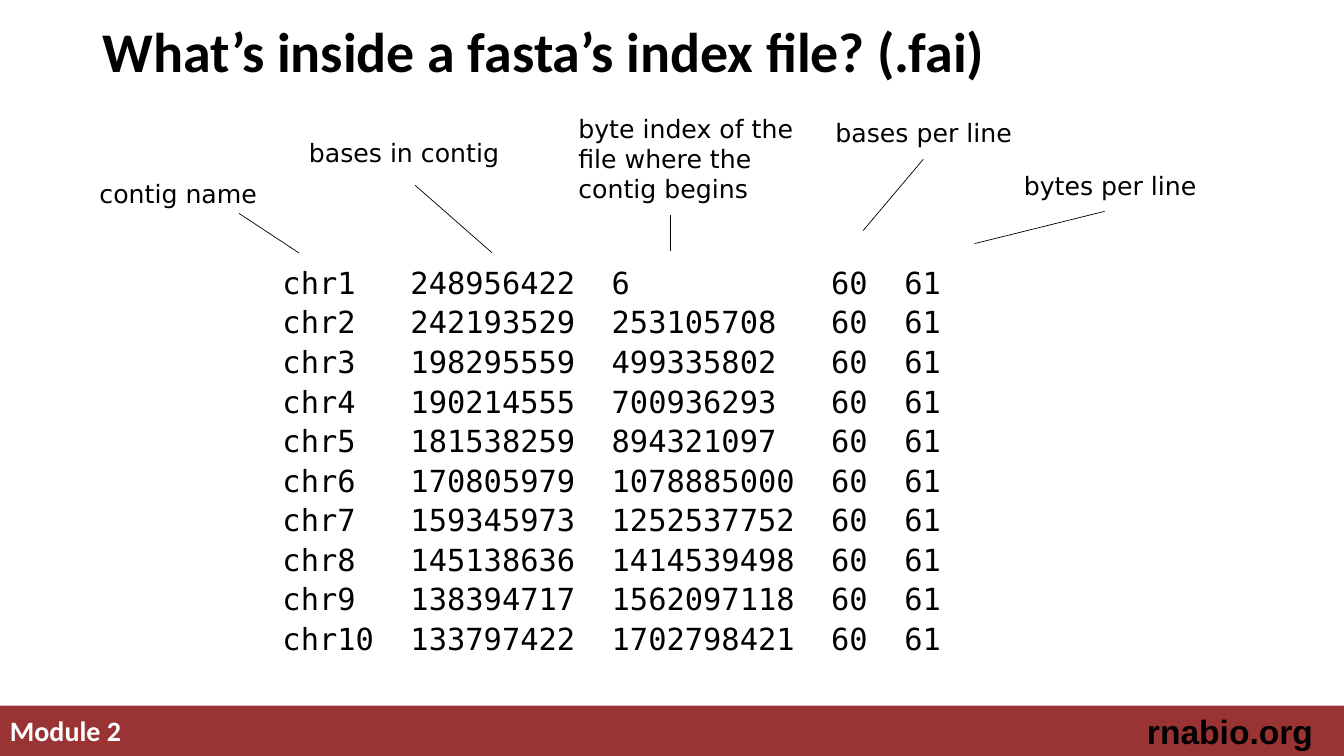
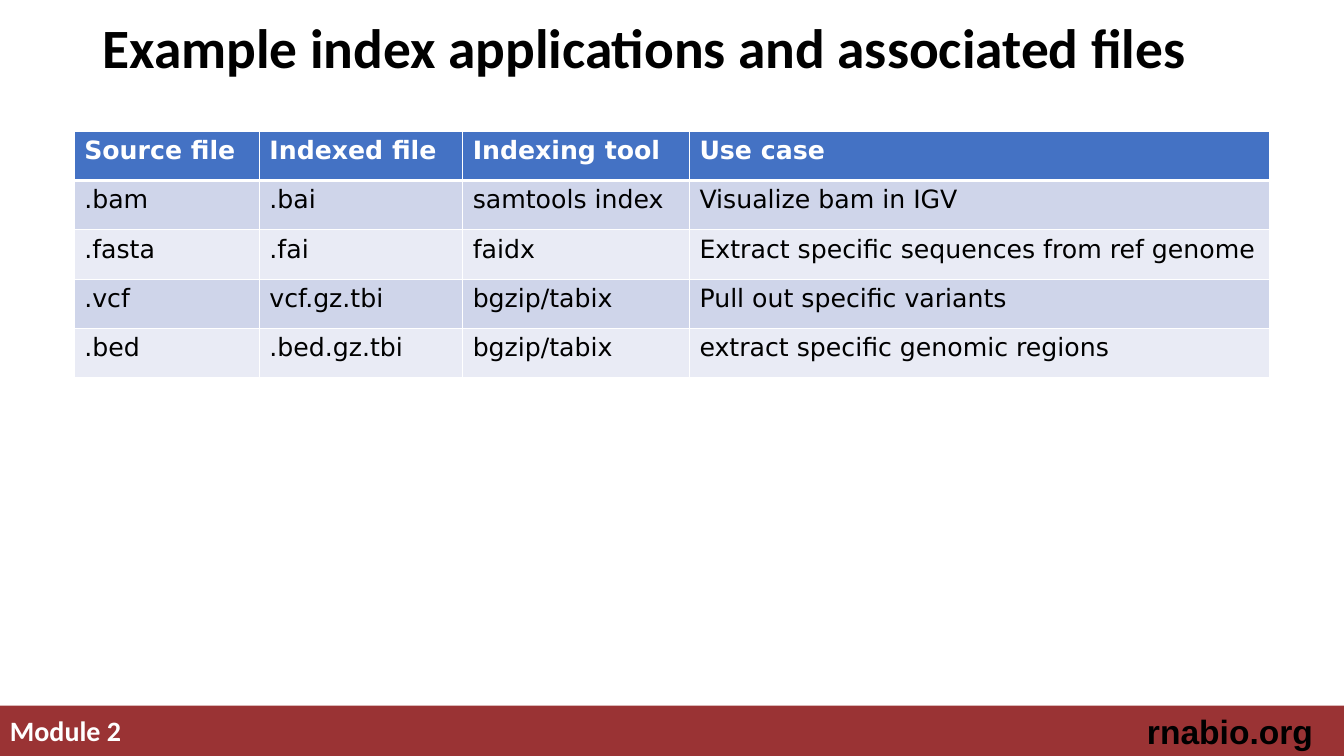
"""Builds two slides on fasta index files and their applications."""
from dataclasses import dataclass
from itertools import accumulate
from typing import Any, NamedTuple

from lxml import etree
from pptx import Presentation
from pptx.dml.color import RGBColor
from pptx.enum.shapes import MSO_CONNECTOR, MSO_SHAPE
from pptx.enum.text import MSO_ANCHOR, MSO_AUTO_SIZE, PP_ALIGN
from pptx.oxml.ns import qn
from pptx.util import Pt

STRAIGHT = MSO_CONNECTOR.STRAIGHT
RECTANGLE = MSO_SHAPE.RECTANGLE
MIDDLE = MSO_ANCHOR.MIDDLE
LEFT, RIGHT = PP_ALIGN.LEFT, PP_ALIGN.RIGHT
NO_AUTOFIT = MSO_AUTO_SIZE.NONE


@dataclass(frozen=True)
class Theme:
    """Colours, fonts and type sizes of the deck."""
    black: str = "000000"
    white: str = "FFFFFF"
    band: str = "9A3334"
    header: str = "4472C4"
    stripes: tuple[str, str] = ("CFD5EA", "E9EBF5")
    heading_font: str = "Calibri"
    site_font: str = "Arial"
    text_font: str = "DejaVu Sans"
    mono_font: str = "DejaVu Sans Mono"
    module_size: float = 20
    site_size: float = 24
    text_size: float = 18
    mono_size: float = 21.7
    mono_advance: float = 0.602


class Box(NamedTuple):
    """Left, top, width and height in points."""
    left: float
    top: float
    width: float
    height: float

    def lengths(self) -> list[Pt]:
        """Returns the four values as lengths."""
        return [Pt(value) for value in self]


@dataclass(frozen=True)
class Heading:
    """Wording, place and size of a slide title."""
    text: str
    box: Box
    size: float


@dataclass(frozen=True)
class Callout:
    """A column label and the line from it to the column."""
    text: str
    box: Box
    start: tuple[float, float]
    end: tuple[float, float]
    wraps: bool = True


THEME = Theme()
SLIDE_WIDTH, SLIDE_HEIGHT = 960, 540
BAND = Box(0, 504, SLIDE_WIDTH, 36)
MODULE_BOX = Box(0, 506, 528, 31)
SITE_BOX = Box(759, 504, 186, 36)

FAI_HEADING = Heading("What’s inside a fasta’s index file? (.fai)", Box(66, 8, 828, 61), 40)
FAI_BOX = Box(194.7, 192.2, 513.4, 303.8)
FAI_FIELD_WIDTHS = (7, 11, 12, 4)
FAI_LINE_BASES, FAI_LINE_BYTES = "60", "61"
FAI_CONTIGS = (
    ("248956422", "6"),
    ("242193529", "253105708"),
    ("198295559", "499335802"),
    ("190214555", "700936293"),
    ("181538259", "894321097"),
    ("170805979", "1078885000"),
    ("159345973", "1252537752"),
    ("145138636", "1414539498"),
    ("138394717", "1562097118"),
    ("133797422", "1702798421"),
)
CALLOUTS = (
    Callout("contig name", Box(64, 124, 127, 29), (170.8, 152.5), (213.6, 180.7), False),
    Callout("bases in contig", Box(213.6, 94.5, 151, 29), (296.5, 132.3), (351.4, 180.5), False),
    Callout("byte index of the file where the contig begins", Box(406, 77.3, 170, 73),
            (479, 153.8), (479, 179)),
    Callout("bases per line", Box(589.7, 80.5, 170, 29), (659.5, 113.8), (616.5, 164.8)),
    Callout("bytes per line", Box(724.2, 118, 170, 29), (789, 151), (696.2, 174)),
)

APPLICATIONS_HEADING = Heading("Example index applications and associated files",
                               Box(66, 7, 828, 58), 39.6)
TABLE_LEFT, TABLE_TOP, ROW_HEIGHT = 53, 93.6, 35.28
COLUMN_WIDTHS = (132.3, 145.2, 162, 414.5)
APPLICATIONS = (
    ("Source file", "Indexed file", "Indexing tool", "Use case"),
    (".bam", ".bai", "samtools index", "Visualize bam in IGV"),
    (".fasta", ".fai", "faidx", "Extract specific sequences from ref genome"),
    (".vcf", "vcf.gz.tbi", "bgzip/tabix", "Pull out specific variants"),
    (".bed", ".bed.gz.tbi", "bgzip/tabix", "extract specific genomic regions"),
)


def set_all(target: Any, values: dict[str, Any]) -> None:
    """Sets each named attribute of the target."""
    for name, value in values.items():
        setattr(target, name, value)


def style_font(font: Any, face: str, size: float, color: str, bold: bool = False) -> None:
    """Formats a font."""
    set_all(font, {"name": face, "size": Pt(size), "bold": bold})
    font.color.rgb = RGBColor.from_string(color)


def place(shape: Any, box: Box) -> None:
    """Moves and resizes a shape."""
    set_all(shape, dict(zip(("left", "top", "width", "height"), box.lengths())))


def add_label(slide: Any, text: str, box: Box, face: str, size: float, color: str,
              bold: bool = False, align: Any = LEFT, wraps: bool = True) -> None:
    """Adds a text box with one paragraph."""
    frame = slide.shapes.add_textbox(*box.lengths()).text_frame
    frame.word_wrap = wraps
    paragraph = frame.paragraphs[0]
    set_all(paragraph, {"text": text, "alignment": align})
    style_font(paragraph.runs[0].font, face, size, color, bold)


def add_footer(slide: Any) -> None:
    """Draws the footer band with its two labels."""
    band = slide.shapes.add_shape(RECTANGLE, *BAND.lengths())
    band.shadow.inherit = False
    band.fill.solid()
    band.fill.fore_color.rgb = RGBColor.from_string(THEME.band)
    band.line.fill.background()
    add_label(slide, "Module 2", MODULE_BOX, THEME.heading_font, THEME.module_size,
              THEME.white, bold=True)
    add_label(slide, "rnabio.org", SITE_BOX, THEME.site_font, THEME.site_size,
              THEME.black, bold=True, align=RIGHT)


def add_slide(deck: Any, heading: Heading) -> Any:
    """Adds a slide with its footer and title."""
    slide = deck.slides.add_slide(deck.slide_layouts.get_by_name("Title Only"))
    add_footer(slide)
    title = slide.shapes.title
    place(title, heading.box)
    set_all(title.text_frame, {"text": heading.text, "vertical_anchor": MIDDLE,
                               "auto_size": NO_AUTOFIT, "word_wrap": True})
    paragraph = title.text_frame.paragraphs[0]
    set_all(paragraph, {"alignment": LEFT, "line_spacing": 0.9})
    style_font(paragraph.runs[0].font, THEME.heading_font, heading.size, THEME.black, True)
    return slide


def set_tab_stops(paragraph: Any, stops: list[float]) -> None:
    """Sets left tab stops, given in points."""
    tabs = etree.SubElement(paragraph._p.get_or_add_pPr(), qn("a:tabLst"))
    for stop in stops:
        etree.SubElement(tabs, qn("a:tab"), pos=str(Pt(stop)), algn="l")


def add_index_listing(slide: Any) -> None:
    """Adds the tab-separated index records."""
    frame = slide.shapes.add_textbox(*FAI_BOX.lengths()).text_frame
    frame.word_wrap = True
    advance = THEME.mono_size * THEME.mono_advance
    stops = [count * advance for count in accumulate(FAI_FIELD_WIDTHS)]
    for number, (bases, offset) in enumerate(FAI_CONTIGS, start=1):
        record = frame.paragraphs[0] if number == 1 else frame.add_paragraph()
        set_tab_stops(record, stops)
        set_all(record, {"alignment": LEFT, "line_spacing": 0.7,
                         "space_before": Pt(0 if number == 1 else 10)})
        run = record.add_run()
        run.text = "\t".join((f"chr{number}", bases, offset, FAI_LINE_BASES, FAI_LINE_BYTES))
        style_font(run.font, THEME.mono_font, THEME.mono_size, THEME.black)


def add_callout(slide: Any, callout: Callout) -> None:
    """Adds a column label and its pointer line."""
    add_label(slide, callout.text, callout.box, THEME.text_font, THEME.text_size,
              THEME.black, wraps=callout.wraps)
    ends = [Pt(value) for value in callout.start + callout.end]
    pointer = slide.shapes.add_connector(STRAIGHT, *ends)
    pointer.line.color.rgb = RGBColor.from_string(THEME.black)
    pointer.line.width = Pt(0.5)
    etree.SubElement(pointer.element.spPr, qn("a:effectLst"))


def set_borders(cell: Any, top: float, bottom: float) -> None:
    """Draws white borders, one point wide at the sides."""
    properties = cell._tc.get_or_add_tcPr()
    for side, width in (("lnL", 1), ("lnR", 1), ("lnT", top), ("lnB", bottom)):
        border = etree.SubElement(properties, qn(f"a:{side}"), w=str(Pt(width)))
        fill = etree.SubElement(border, qn("a:solidFill"))
        etree.SubElement(fill, qn("a:srgbClr"), val=THEME.white)


def add_applications_table(slide: Any) -> None:
    """Adds the table of index applications."""
    box = Box(TABLE_LEFT, TABLE_TOP, sum(COLUMN_WIDTHS), ROW_HEIGHT * len(APPLICATIONS))
    table = slide.shapes.add_table(len(APPLICATIONS), len(COLUMN_WIDTHS), *box.lengths()).table
    for column, width in zip(table.columns, COLUMN_WIDTHS):
        column.width = Pt(width)
    for row, texts in enumerate(APPLICATIONS):
        table.rows[row].height = Pt(ROW_HEIGHT)
        is_header = row == 0
        background = THEME.header if is_header else THEME.stripes[(row - 1) % 2]
        ink = THEME.white if is_header else THEME.black
        for column, text in enumerate(texts):
            cell = table.cell(row, column)
            cell.text = text
            set_borders(cell, top=3 if row == 1 else 1, bottom=3 if is_header else 1)
            cell.fill.solid()
            cell.fill.fore_color.rgb = RGBColor.from_string(background)
            style_font(cell.text_frame.paragraphs[0].runs[0].font, THEME.text_font,
                       THEME.text_size, ink, is_header)


def main() -> None:
    """Builds and saves the deck."""
    deck = Presentation()
    set_all(deck, {"slide_width": Pt(SLIDE_WIDTH), "slide_height": Pt(SLIDE_HEIGHT)})
    index_slide = add_slide(deck, FAI_HEADING)
    add_index_listing(index_slide)
    for callout in CALLOUTS:
        add_callout(index_slide, callout)
    add_applications_table(add_slide(deck, APPLICATIONS_HEADING))
    deck.save("out.pptx")


if __name__ == "__main__":
    main()
